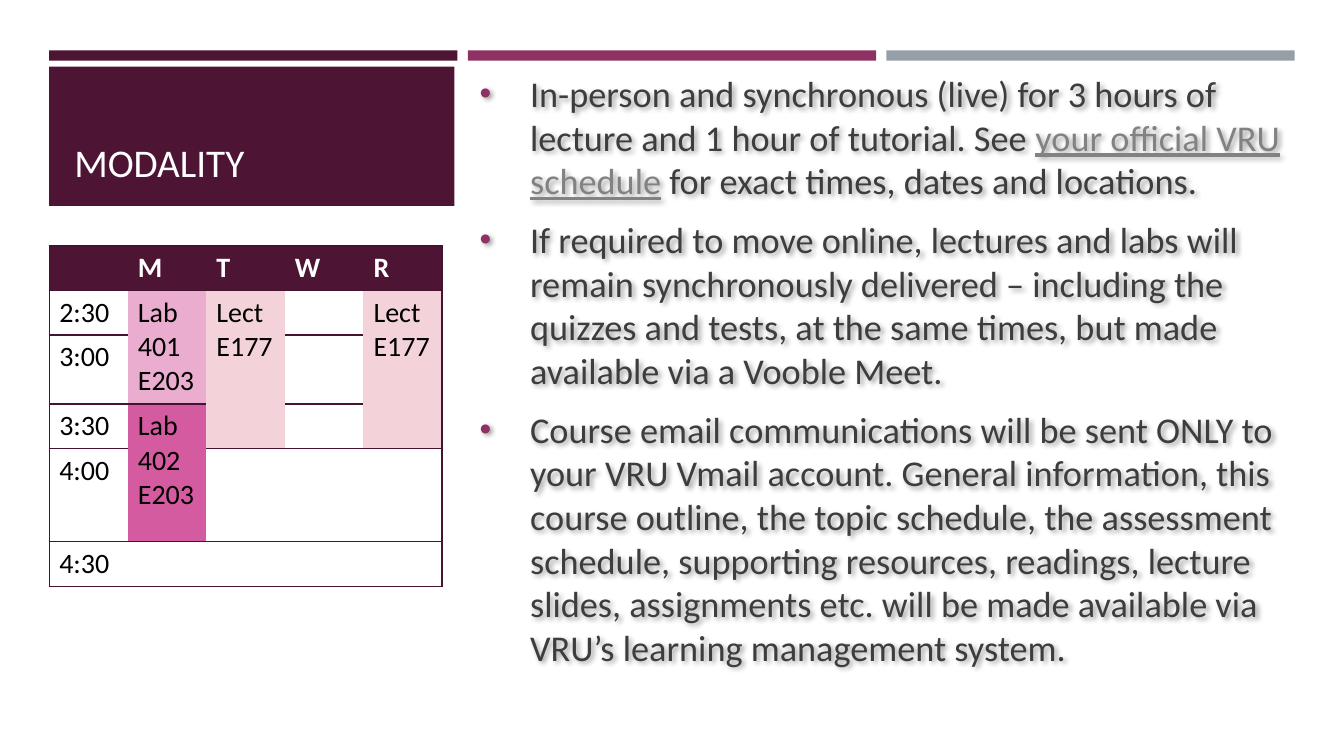
import lxml.etree
import pptx
import pptx.dml.color
import pptx.enum.shapes
import pptx.enum.text
import pptx.oxml.ns
import pptx.util

Cm = pptx.util.Cm
Pt = pptx.util.Pt
qn = pptx.oxml.ns.qn

FONT = "Calibri"
PLUM, MAGENTA, GREY, WHITE = "4D1434", "903163", "969FA7", "FFFFFF"
INK, LINK, BORDER, BLACK = "3D3D3D", "828282", "45122F", "000000"
LAB_401, LAB_402, LECTURE = "EAADCF", "D45B9F", "F3D3D9"

DAYS = ["", "M", "T", "W", "R"]
TIMES = ["2:30", "3:00", "3:30", "4:00", "4:30"]
ROW_HEIGHTS = [1.12, 1.12, 1.74, 1.12, 2.35, 1.12]
SESSIONS = [
    (1, 1, 2, "Lab 401\vE203", LAB_401),
    (3, 1, 2, "Lab 402\vE203", LAB_402),
    (1, 2, 3, "Lect\vE177", LECTURE),
    (1, 4, 3, "Lect\vE177", LECTURE),
]
POINTS = [
    [
        ("In-person and synchronous (live) for 3 hours of lecture and 1 hour of tutorial. See ", False),
        ("your official VRU schedule", True),
        (" for exact times, dates and locations.", False),
    ],
    [
        ("If required to move online, lectures and labs will remain synchronously delivered – including the "
         "quizzes and tests, at the same times, but made available via a Vooble Meet.", False),
    ],
    [
        ("Course email communications will be sent ONLY to your VRU Vmail account. General information, this "
         "course outline, the topic schedule, the assessment schedule, supporting resources, readings, lecture "
         "slides, assignments etc. will be made available via VRU’s learning management system.", False),
    ],
]


def colour(value):
    """Turn a hex string into a colour."""
    return pptx.dml.color.RGBColor.from_string(value)


def add_node(parent, tag, **attributes):
    """Append a DrawingML element and return it."""
    return lxml.etree.SubElement(parent, qn(tag), attributes)


def set_font(para, size, value, bold=False):
    """Set the font that all runs of a paragraph share."""
    para.font.name = FONT
    para.font.size = Pt(size)
    para.font.bold = bold
    para.font.color.rgb = colour(value)


def add_block(page, left, top, width, height, value):
    """Add a plain filled rectangle."""
    kind = pptx.enum.shapes.MSO_SHAPE.RECTANGLE
    block = page.shapes.add_shape(kind, Cm(left), Cm(top), Cm(width), Cm(height))
    block.shadow.inherit = False
    block.fill.solid()
    block.fill.fore_color.rgb = colour(value)
    block.line.fill.background()
    return block


def add_top_bars(page, left, top, width, height):
    """Divide a strip into three coloured bars with equal gaps."""
    gap = 0.26
    bar = (width - 2 * gap) / 3
    for index, value in enumerate([PLUM, MAGENTA, GREY]):
        add_block(page, left + index * (bar + gap), top, bar, height, value)


def add_title(page, left, top, width, height):
    """Place the title placeholder on its dark panel."""
    panel = add_block(page, left, top, width, height, PLUM)
    title = page.shapes.title
    title.element.addprevious(panel.element)
    title.left, title.top = Cm(left + 0.38), Cm(top + 0.36)
    title.width, title.height = Cm(width - 0.72), Cm(height - 0.76)
    frame = title.text_frame
    frame.text = "MODALITY"
    frame.word_wrap = True
    frame.auto_size = pptx.enum.text.MSO_AUTO_SIZE.NONE
    frame.vertical_anchor = pptx.enum.text.MSO_ANCHOR.BOTTOM
    para = frame.paragraphs[0]
    para.alignment = pptx.enum.text.PP_ALIGN.LEFT
    set_font(para, 28, WHITE)


def set_borders(cell, sides):
    """Draw the named sides of a cell and hide the others."""
    properties = cell._tc.get_or_add_tcPr()
    for index, side in enumerate("LRTB"):
        line = lxml.etree.Element(qn(f"a:ln{side}"), w=str(Pt(1)))
        if side in sides:
            add_node(add_node(line, "a:solidFill"), "a:srgbClr", val=BORDER)
        else:
            add_node(line, "a:noFill")
        properties.insert(index, line)


def fill_cell(cell, text, fill, ink=BLACK, bold=False):
    """Write and colour one timetable cell."""
    cell.fill.solid()
    cell.fill.fore_color.rgb = colour(fill)
    para = cell.text_frame.paragraphs[0]
    para.text = text
    set_font(para, 20, ink, bold)


def add_timetable(page, left, top, width):
    """Add the weekly timetable with its merged sessions."""
    frame = page.shapes.add_table(len(ROW_HEIGHTS), len(DAYS), Cm(left), Cm(top),
                                  Cm(width), Cm(sum(ROW_HEIGHTS)))
    table = frame.table
    table.horz_banding = False
    for column in table.columns:
        column.width = Cm(width / len(DAYS))
    for row, height in zip(table.rows, ROW_HEIGHTS):
        row.height = Cm(height)
    for column, day in enumerate(DAYS):
        fill_cell(table.cell(0, column), day, PLUM, WHITE, True)
        for row, time in enumerate(TIMES, 1):
            fill_cell(table.cell(row, column), "" if column else time, WHITE)
    for row, column, span, text, fill in SESSIONS:
        cell = table.cell(row, column)
        cell.merge(table.cell(row + span - 1, column))
        fill_cell(cell, text, fill)
    for row in range(len(ROW_HEIGHTS)):
        for column in range(len(DAYS)):
            cell = table.cell(row, column)
            outer = {0: "L", len(DAYS) - 1: "R"}.get(column, "")
            set_borders(cell, outer if cell.is_spanned else outer + "TB")


def add_bullet(para):
    """Give a paragraph a hanging coloured bullet."""
    properties = para._p.get_or_add_pPr()
    properties.set("marL", str(Cm(1.27)))
    properties.set("indent", str(-Cm(1.27)))
    add_node(add_node(properties, "a:buClr"), "a:srgbClr", val=MAGENTA)
    add_node(properties, "a:buSzPct", val="92000")
    add_node(properties, "a:buFont", typeface="Arial")
    add_node(properties, "a:buChar", char="•")


def add_soft_shadow(box):
    """Cast a soft shadow from the text of an unfilled box."""
    effects = add_node(box.element.spPr, "a:effectLst")
    shadow = add_node(effects, "a:outerShdw", blurRad=str(Pt(4)), dist=str(Pt(3)),
                      dir="2700000", algn="tl", rotWithShape="0")
    add_node(add_node(shadow, "a:srgbClr", val=BLACK), "a:alpha", val="40000")


def add_points(page, left, top, width, height):
    """Add the bulleted text about delivery."""
    box = page.shapes.add_textbox(Cm(left), Cm(top), Cm(width), Cm(height))
    add_soft_shadow(box)
    frame = box.text_frame
    frame.word_wrap = True
    for index, pieces in enumerate(POINTS):
        para = frame.add_paragraph() if index else frame.paragraphs[0]
        add_bullet(para)
        para.line_spacing = Pt(31.1)
        para.space_before = Pt(5)
        para.space_after = Pt(6)
        set_font(para, 25.9, INK)
        for text, linked in pieces:
            span = para.add_run()
            span.text = text
            if linked:
                span.font.underline = True
                span.font.color.rgb = colour(LINK)


def add_modality_page(deck):
    """Build the modality slide."""
    page = deck.slides.add_slide(deck.slide_layouts.get_by_name("Title Only"))
    add_top_bars(page, 1.24, 1.27, 31.39, 0.26)
    add_title(page, 1.24, 1.68, 10.21, 3.51)
    add_timetable(page, 1.24, 6.2, 9.9)
    add_points(page, 11.84, 1.68, 20.8, 14.61)


def main():
    """Create and save the deck."""
    deck = pptx.Presentation()
    deck.slide_width, deck.slide_height = Cm(33.87), Cm(19.05)
    add_modality_page(deck)
    deck.save("out.pptx")


if __name__ == "__main__":
    main()
